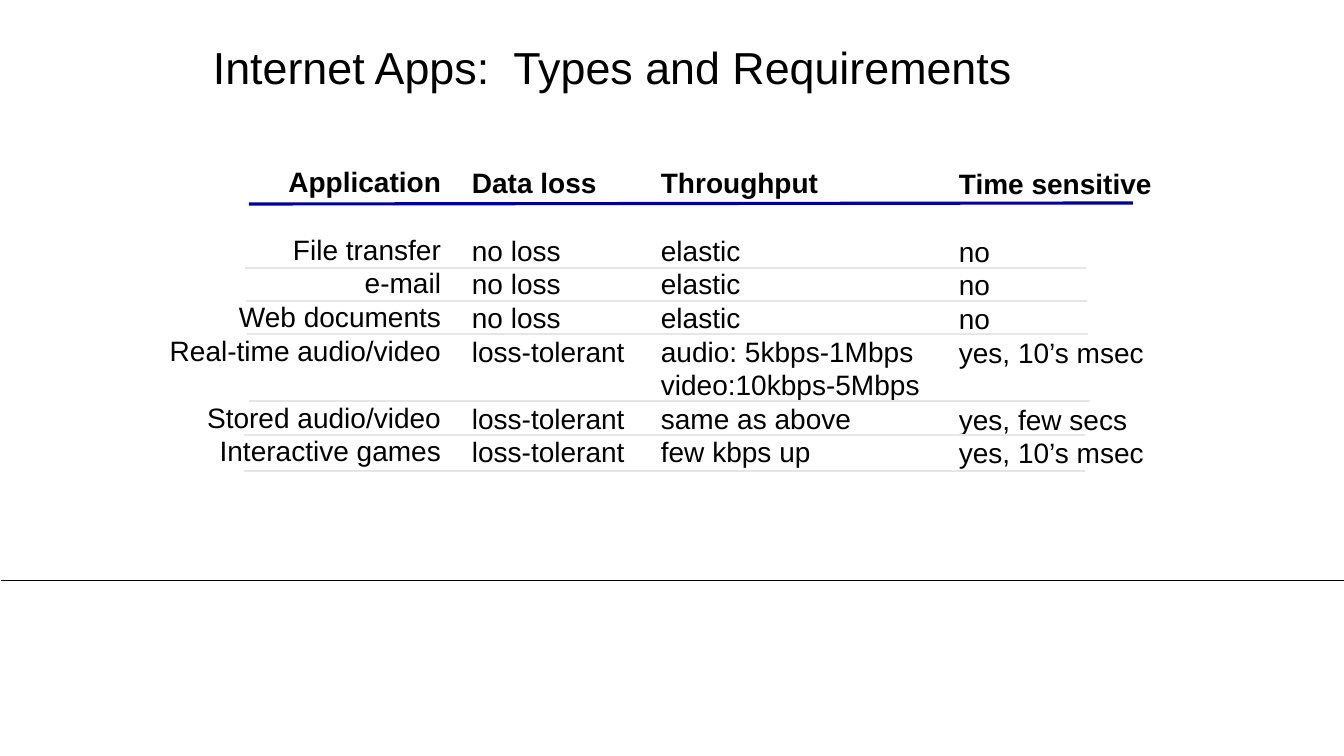
from lxml import etree
from pptx import Presentation
from pptx import util as u
from pptx.dml.color import RGBColor
from pptx.enum import shapes, text
from pptx.oxml.ns import qn

EMU_PER_PX = 914400 / 100.8
COLORS = {"ink": "000000", "header_rule": "000099", "row_rule": "E7E6E6"}
FONT = "Arial"
LINE_PITCH = u.Pt(24)
RULE_WIDTH = 841
ROW_RULES = [(245, 268), (246, 301), (247, 334), (249, 401), (244, 435), (244, 471)]
GAP = None
LEFT, RIGHT = text.PP_ALIGN.LEFT, text.PP_ALIGN.RIGHT

COLUMNS = [
    ((151, 160, 300, 350), RIGHT,
     ["Application", GAP, "File transfer", "e-mail", "Web documents",
      "Real-time audio/video", GAP, "Stored audio/video", "Interactive games"]),
    ((462, 161, 175, 350), LEFT,
     ["Data loss", GAP, "no loss", "no loss", "no loss",
      "loss-tolerant", GAP, "loss-tolerant", "loss-tolerant"]),
    ((651, 161, 298, 350), LEFT,
     ["Throughput", GAP, "elastic", "elastic", "elastic", "audio: 5kbps-1Mbps",
      "video:10kbps-5Mbps", "same as above", "few kbps up"]),
    ((949, 162, 245, 350), LEFT,
     ["Time sensitive", GAP, "no", "no", "no",
      "yes, 10’s msec", GAP, "yes, few secs", "yes, 10’s msec"]),
]


def px(n):
    return u.Emu(round(n * EMU_PER_PX))


def color(name):
    return RGBColor.from_string(COLORS[name])


def add_rule(s, start, end, name, width):
    line = s.shapes.add_connector(
        shapes.MSO_CONNECTOR.STRAIGHT, *map(px, start), *map(px, end))
    line.line.color.rgb = color(name)
    line.line.width = u.Pt(width)
    etree.SubElement(line._element.spPr, qn("a:effectLst"))


def add_box(s, box, anchor):
    tf = s.shapes.add_textbox(*map(px, box)).text_frame
    tf.word_wrap = True
    tf.vertical_anchor = anchor
    return tf


def add_run(p, words, size, bold=False):
    r = p.add_run()
    r.text = words
    r.font.name = FONT
    r.font.size = u.Pt(size)
    r.font.bold = bold
    r.font.color.rgb = color("ink")


def add_title(s, words):
    tf = add_box(s, (203, 25, 904, 90), text.MSO_ANCHOR.MIDDLE)
    p = tf.paragraphs[0]
    p.line_spacing = 0.9
    add_run(p, words, 32)


def add_column(s, box, align, entries):
    tf = add_box(s, box, text.MSO_ANCHOR.TOP)
    for i, entry in enumerate(entries):
        if entry is GAP:
            continue
        p = tf.add_paragraph() if i else tf.paragraphs[0]
        p.alignment = align
        p.line_spacing = LINE_PITCH
        if i and entries[i - 1] is GAP:
            p.space_before = LINE_PITCH
        add_run(p, entry, 20, bold=i == 0)


def main():
    prs = Presentation()
    prs.slide_width, prs.slide_height = px(1344), px(756)
    s = prs.slides.add_slide(prs.slide_layouts[6])
    add_rule(s, (1, 580), (1344, 580), "ink", 0.5)
    add_title(s, "Internet Apps:  Types and Requirements")
    for box, align, entries in COLUMNS:
        add_column(s, box, align, entries)
    add_rule(s, (249, 204), (1133, 203), "header_rule", 2.25)
    for x, y in ROW_RULES:
        add_rule(s, (x, y), (x + RULE_WIDTH, y), "row_rule", 1)
    prs.save("out.pptx")


if __name__ == "__main__":
    main()
